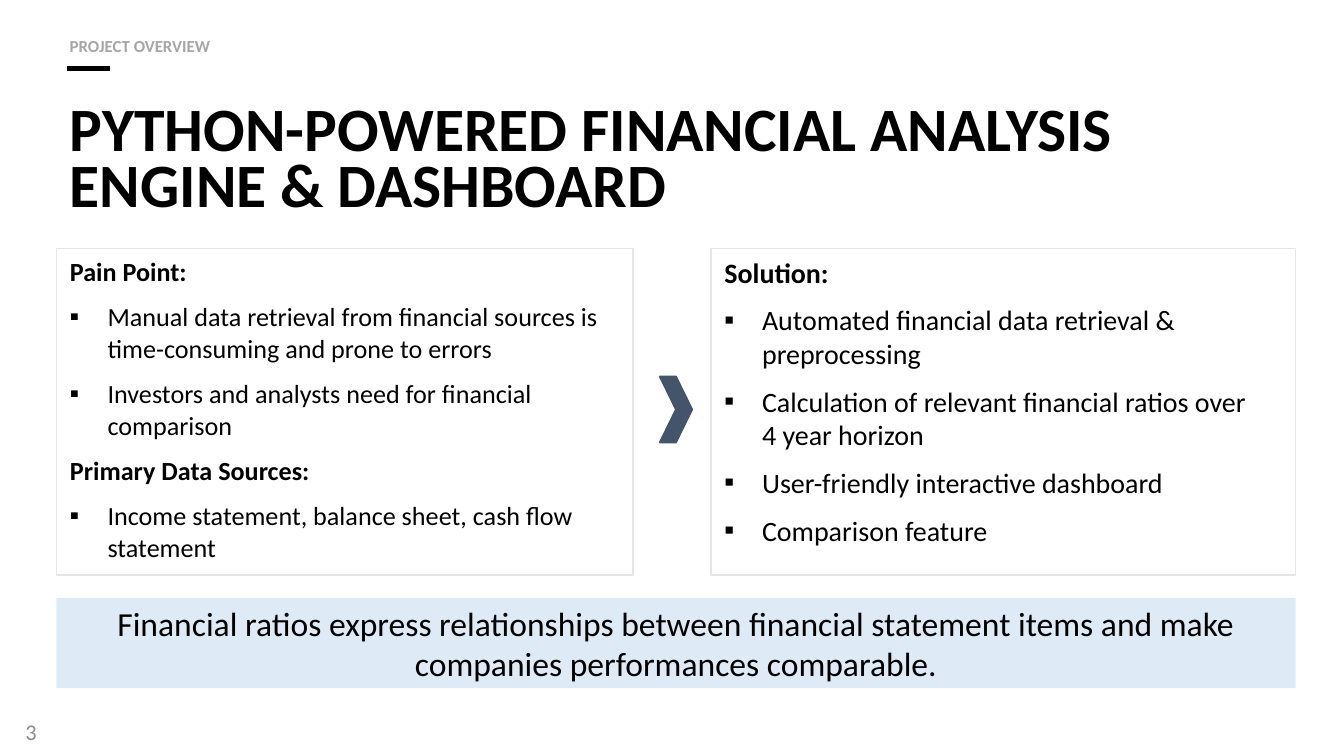
from dataclasses import dataclass

from lxml import etree
from pptx import Presentation
from pptx.dml.color import RGBColor
from pptx.enum.shapes import MSO_CONNECTOR, MSO_SHAPE
from pptx.enum.text import MSO_ANCHOR, MSO_AUTO_SIZE, PP_ALIGN
from pptx.oxml.ns import qn
from pptx.util import Inches, Pt

LEFT, CENTER = PP_ALIGN.LEFT, PP_ALIGN.CENTER
TOP, MIDDLE = MSO_ANCHOR.TOP, MSO_ANCHOR.MIDDLE
RECTANGLE, CHEVRON = MSO_SHAPE.RECTANGLE, MSO_SHAPE.CHEVRON
STRAIGHT = MSO_CONNECTOR.STRAIGHT
NO_AUTOFIT = MSO_AUTO_SIZE.NONE
TWO_CONTENT_LAYOUT = 3
SLIDE_WIDTH = Inches(10)
SLIDE_HEIGHT = SLIDE_WIDTH * 9 // 16


@dataclass(frozen=True)
class Theme:
    font: str = "Calibri"
    ink: str = "000000"
    kicker: str = "A6A6A6"
    number: str = "8C8C8C"
    border: str = "E7E6E6"
    banner: str = "DEEBF7"
    chevron: str = "44546A"
    title_size: int = 33
    banner_size: int = 18
    solution_size: int = 15
    problem_size: int = 14
    number_size: int = 12
    kicker_size: int = 9
    paragraph_gap: float = 7.5


@dataclass(frozen=True)
class PercentPlace:
    left: float
    top: float
    width: float
    height: float


@dataclass(frozen=True)
class Style:
    size: int
    color: str
    bold: bool = False
    align: PP_ALIGN = LEFT
    spacing: float | None = None


@dataclass(frozen=True)
class Entry:
    text: str
    heading: bool = False


@dataclass(frozen=True)
class Panel:
    placeholder: int
    place: PercentPlace
    size: int
    entries: tuple[Entry, ...]


THEME = Theme()
MARGIN, CONTENT_WIDTH = 4.2, 92.2
PANEL_TOP, PANEL_HEIGHT = 32.89, 43.2
LEFT_WIDTH, RIGHT_WIDTH = 42.9, 43.5
RIGHT_START = MARGIN + CONTENT_WIDTH - RIGHT_WIDTH

PANELS = (
    Panel(1, PercentPlace(MARGIN, PANEL_TOP, LEFT_WIDTH, PANEL_HEIGHT), THEME.problem_size, (
        Entry("Pain Point:", True),
        Entry("Manual data retrieval from financial sources is time-consuming and prone to errors"),
        Entry("Investors and analysts need for financial comparison"),
        Entry("Primary Data Sources:", True),
        Entry("Income statement, balance sheet, cash flow statement"),
    )),
    Panel(2, PercentPlace(RIGHT_START, PANEL_TOP, RIGHT_WIDTH, PANEL_HEIGHT), THEME.solution_size, (
        Entry("Solution:", True),
        Entry("Automated financial data retrieval & preprocessing"),
        Entry("Calculation of relevant financial ratios over \v4 year horizon"),
        Entry("User-friendly interactive dashboard"),
        Entry("Comparison feature"),
    )),
)


def across(percent: float) -> int:
    return round(SLIDE_WIDTH * percent / 100)


def down(percent: float) -> int:
    return round(SLIDE_HEIGHT * percent / 100)


def apply(target, values: dict) -> None:
    for name, value in values.items():
        setattr(target, name, value)


def bounds(place: PercentPlace) -> tuple[int, int, int, int]:
    return across(place.left), down(place.top), across(place.width), down(place.height)


def move(shape, place: PercentPlace) -> None:
    apply(shape, dict(zip(("left", "top", "width", "height"), bounds(place))))


def set_line(shape, color: str, width: float) -> None:
    shape.line.color.rgb = RGBColor.from_string(color)
    shape.line.width = Pt(width)


def prepare_frame(shape, anchor: MSO_ANCHOR):
    frame = shape.text_frame
    apply(frame, {"word_wrap": True, "auto_size": NO_AUTOFIT, "vertical_anchor": anchor})
    return frame


def write(para, text: str, style: Style, gap: float = 0) -> None:
    para.text = text
    spacing = Pt(style.spacing) if style.spacing else 1.0
    apply(para, {"alignment": style.align, "line_spacing": spacing,
                 "space_before": Pt(gap), "space_after": Pt(0)})
    for span in para.runs:
        apply(span.font, {"name": THEME.font, "size": Pt(style.size), "bold": style.bold})
        span.font.color.rgb = RGBColor.from_string(style.color)


def set_bullet(para, heading: bool) -> None:
    properties = para._p.get_or_add_pPr()
    indent = 0 if heading else Inches(0.28)
    properties.set("marL", str(indent))
    properties.set("indent", str(-indent))
    if heading:
        etree.SubElement(properties, qn("a:buNone"))
    else:
        etree.SubElement(properties, qn("a:buFont")).set("typeface", THEME.font)
        etree.SubElement(properties, qn("a:buChar")).set("char", "▪")


def draw_panel(page, panel: Panel) -> None:
    box = page.placeholders[panel.placeholder]
    move(box, panel.place)
    set_line(box, THEME.border, 0.75)
    frame = prepare_frame(box, TOP)
    for index, entry in enumerate(panel.entries):
        para = frame.add_paragraph() if index else frame.paragraphs[0]
        set_bullet(para, entry.heading)
        write(para, entry.text, Style(panel.size, THEME.ink, entry.heading),
              THEME.paragraph_gap if index else 0)


def draw_label(page, place: PercentPlace, text: str, style: Style, anchor: MSO_ANCHOR) -> None:
    box = page.shapes.add_textbox(*bounds(place))
    write(prepare_frame(box, anchor).paragraphs[0], text, style)


def draw_shape(page, kind: MSO_SHAPE, place: PercentPlace, color: str):
    shape = page.shapes.add_shape(kind, *bounds(place))
    shape.shadow.inherit = False
    shape.fill.solid()
    shape.fill.fore_color.rgb = RGBColor.from_string(color)
    shape.line.fill.background()
    return shape


def draw_rule(page, left: float, right: float, top: float) -> None:
    rule = page.shapes.add_connector(STRAIGHT, across(left), down(top), across(right), down(top))
    set_line(rule, THEME.ink, 2.25)
    etree.SubElement(rule._element.spPr, qn("a:effectLst"))


def main() -> None:
    deck = Presentation()
    apply(deck, {"slide_width": SLIDE_WIDTH, "slide_height": SLIDE_HEIGHT})
    page = deck.slides.add_slide(deck.slide_layouts[TWO_CONTENT_LAYOUT])

    draw_rule(page, 5, 8.2, 9.07)
    title = page.shapes.title
    move(title, PercentPlace(MARGIN, 13.33, CONTENT_WIDTH, 16))
    write(prepare_frame(title, TOP).paragraphs[0],
          "PYTHON-POWERED FINANCIAL ANALYSIS ENGINE & DASHBOARD",
          Style(THEME.title_size, THEME.ink, True, spacing=30))

    for panel in PANELS:
        draw_panel(page, panel)

    draw_label(page, PercentPlace(MARGIN, 3.2, 45.2, 4.09), "PROJECT OVERVIEW",
               Style(THEME.kicker_size, THEME.kicker, True, spacing=13.5), TOP)
    draw_label(page, PercentPlace(0.9, 94.1, 22.5, 5.33), "3",
               Style(THEME.number_size, THEME.number), MIDDLE)

    banner = draw_shape(page, RECTANGLE, PercentPlace(MARGIN, 79.11, CONTENT_WIDTH, 11.91), THEME.banner)
    write(prepare_frame(banner, MIDDLE).paragraphs[0],
          "Financial ratios express relationships between financial statement items "
          "and make companies performances comparable.",
          Style(THEME.banner_size, THEME.ink, align=CENTER))
    chevron = draw_shape(page, CHEVRON, PercentPlace(49.1, 49.82, 2.4, 8.71), THEME.chevron)
    set_line(chevron, THEME.chevron, 1)

    deck.save("out.pptx")


if __name__ == "__main__":
    main()
